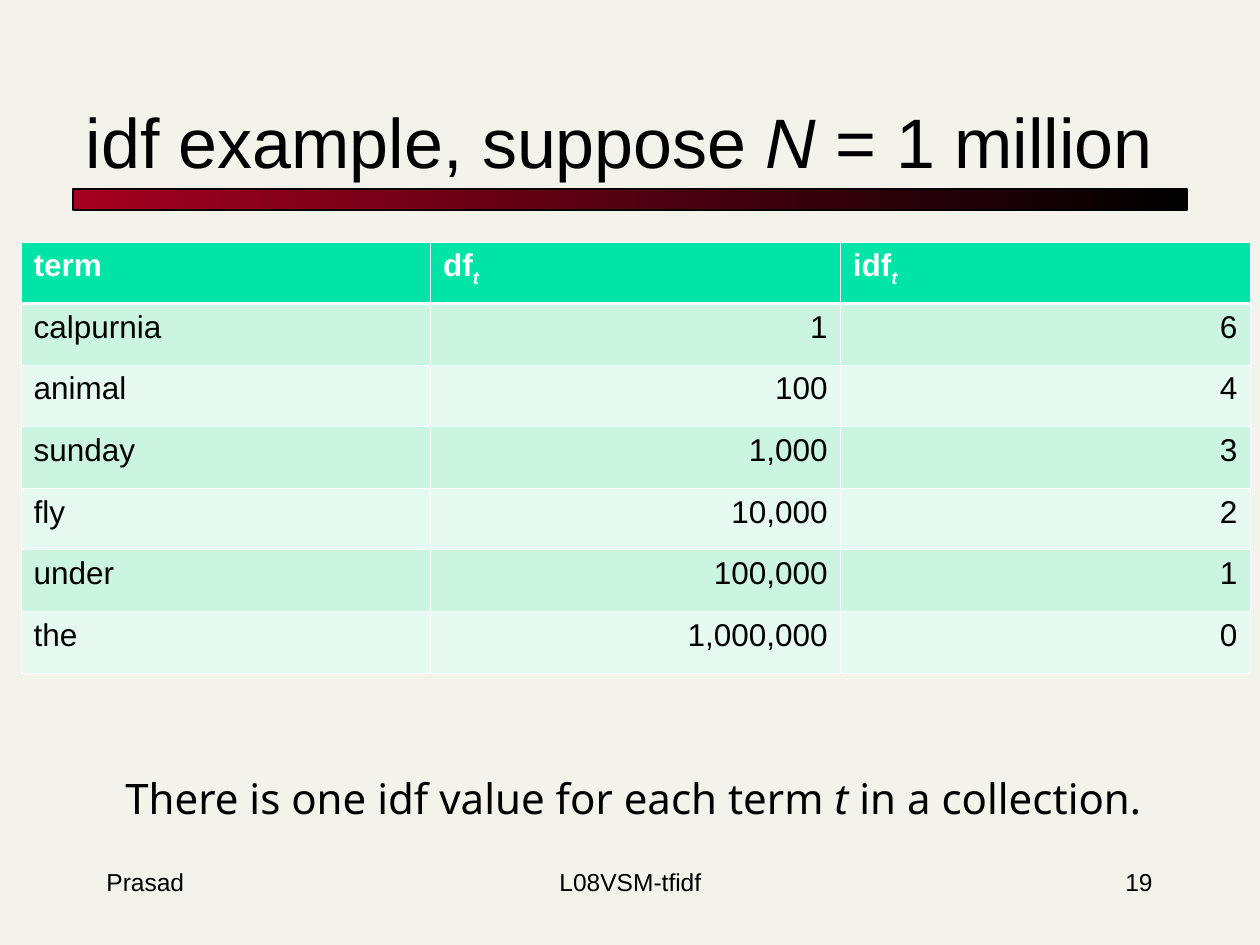
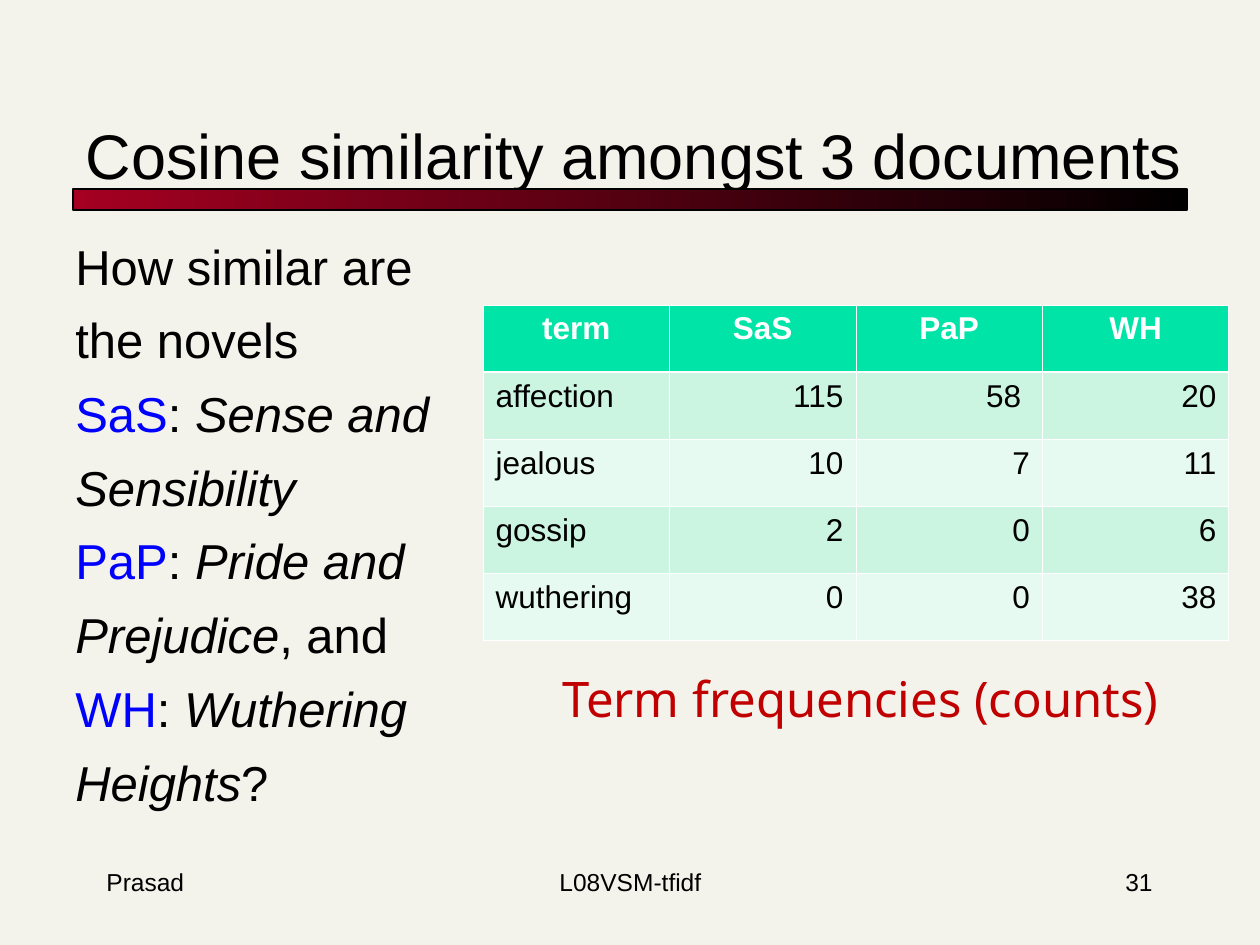
from lxml import etree
from pptx import Presentation
from pptx.dml.color import RGBColor
from pptx.enum.shapes import MSO_SHAPE
from pptx.enum.text import MSO_ANCHOR, MSO_AUTO_SIZE, PP_ALIGN
from pptx.oxml.ns import qn
from pptx.util import Emu, Inches, Pt

PX = Inches(1) // 126
LEFT, CENTER, RIGHT = PP_ALIGN.LEFT, PP_ALIGN.CENTER, PP_ALIGN.RIGHT
RECTANGLE = MSO_SHAPE.RECTANGLE
BOTTOM = MSO_ANCHOR.BOTTOM
NO_FIT = MSO_AUTO_SIZE.NONE
TITLE_ONLY = 5

PAPER = RGBColor(0xF4, 0xF3, 0xEB)
BLACK = RGBColor(0, 0, 0)
WHITE = RGBColor(0xFF, 0xFF, 0xFF)
CRIMSON = RGBColor(0xA5, 0, 0x21)
RED = RGBColor(0xC0, 0, 0)
BLUE = RGBColor(0, 0, 0xFF)
HEADER_GREEN = RGBColor(0, 0xE4, 0xA8)
ROW_GREENS = (RGBColor(0xCB, 0xF5, 0xE1), RGBColor(0xE7, 0xFA, 0xF1))

BODY_FONT = "Arial"
NOTE_FONT = "Noto Sans"
THIN, THICK = Pt(0.45), Pt(1.47)


def italic(text):
    return text, {"italic": True}


def subscript(text):
    return text, {"italic": True, "baseline": -25000}


def blue(text):
    return text, {"color": BLUE}


def px(*lengths):
    return [Emu(length * PX) for length in lengths]


class Lecture:
    """Holds the deck, its shared style and the page being built."""

    def __init__(self):
        self.deck = Presentation()
        self.deck.slide_width, self.deck.slide_height = px(1260, 945)
        fill = self.deck.slide_master.background.fill
        fill.solid()
        fill.fore_color.rgb = PAPER
        self.page = None

    def start_page(self, number):
        self.page = self.deck.slides.add_slide(self.deck.slide_layouts[TITLE_ONLY])
        self.band()
        self.text((94, 861, 262, 63), [["Prasad"]], 14)
        self.text((903, 861, 262, 63), [[str(number)]], 14, align=RIGHT)
        self.text((431, 861, 399, 63), [["L08VSM-tfidf"]], 14, align=CENTER)

    def band(self):
        band = self.page.shapes.add_shape(RECTANGLE, *px(73, 189, 1114, 21))
        band.shadow.inherit = False
        band.fill.gradient()
        band.fill.gradient_angle = 0
        for stop, color in zip(band.fill.gradient_stops, (CRIMSON, BLACK)):
            stop.color.rgb = color
        band.line.color.rgb = BLACK
        band.line.width = Pt(0.75)

    def set_spans(self, para, spans, size, color=BLACK, font=BODY_FONT, align=LEFT, bold=False):
        """Fill a paragraph with plain strings and (text, style) pairs."""
        para.alignment = align
        para.font.name = font
        para.font.size = Pt(size)
        para.font.bold = bold
        para.font.color.rgb = color
        for span in spans:
            text, style = (span, {}) if isinstance(span, str) else span
            run = para.add_run()
            run.text = text
            if "italic" in style:
                run.font.italic = True
            if "color" in style:
                run.font.color.rgb = style["color"]
            if "baseline" in style:
                run._r.get_or_add_rPr().set("baseline", str(style["baseline"]))

    def title(self, place, spans, size):
        title = self.page.shapes.title
        title.left, title.top, title.width, title.height = px(*place)
        frame = title.text_frame
        frame.auto_size = NO_FIT
        frame.vertical_anchor = BOTTOM
        self.set_spans(frame.paragraphs[0], spans, size)

    def text(self, place, lines, size, wrap=True, space_before=0, **style):
        frame = self.page.shapes.add_textbox(*px(*place)).text_frame
        frame.word_wrap = wrap
        for index, spans in enumerate(lines):
            para = frame.add_paragraph() if index else frame.paragraphs[0]
            if index and space_before:
                para.space_before = Pt(space_before)
            self.set_spans(para, spans, size, **style)

    def borders(self, cell, top, bottom):
        properties = cell._tc.get_or_add_tcPr()
        for side, width in (("L", THIN), ("R", THIN), ("T", top), ("B", bottom)):
            line = etree.SubElement(properties, qn(f"a:ln{side}"), w=str(int(width)))
            fill = etree.SubElement(line, qn("a:solidFill"))
            etree.SubElement(fill, qn("a:srgbClr"), val=str(WHITE))

    def table(self, place, header, rows, header_align=LEFT):
        """Draw a table whose header cells are span lists and whose rows are strings."""
        grid = self.page.shapes.add_table(len(rows) + 1, len(header), *px(*place)).table
        cells = [header] + [[[value] for value in row] for row in rows]
        for r, row in enumerate(cells):
            for c, spans in enumerate(row):
                cell = grid.cell(r, c)
                self.borders(cell, THICK if r == 1 else THIN, THICK if r == 0 else THIN)
                cell.fill.solid()
                para = cell.text_frame.paragraphs[0]
                if r == 0:
                    cell.fill.fore_color.rgb = HEADER_GREEN
                    self.set_spans(para, spans, 18, WHITE, align=header_align, bold=True)
                else:
                    cell.fill.fore_color.rgb = ROW_GREENS[(r - 1) % 2]
                    self.set_spans(para, spans, 18, align=RIGHT if c else LEFT)


def build_idf_example(lecture):
    lecture.start_page(19)
    lecture.title((73, 53, 1113, 136), ["idf example, suppose ", italic("N "), "= 1 million"], 40)
    lecture.table(
        (21, 242, 1229, 431),
        [["term"], ["df", subscript("t")], ["idf", subscript("t")]],
        [
            ("calpurnia", "1", "6"),
            ("animal", "100", "4"),
            ("sunday", "1,000", "3"),
            ("fly", "10,000", "2"),
            ("under", "100,000", "1"),
            ("the", "1,000,000", "0"),
        ],
    )
    note = ["There is one idf value for each term ", italic("t"), " in a collection."]
    lecture.text((113, 766, 1042, 63), [note], 24, wrap=False, font=NOTE_FONT)


def build_cosine_similarity(lecture):
    lecture.start_page(31)
    lecture.title((73, 38, 1187, 160), ["Cosine similarity amongst 3 documents"], 36)
    lecture.table(
        (483, 305, 746, 336),
        [["term"], ["SaS"], ["PaP"], ["WH"]],
        [
            ("affection", "115", "58 ", "20"),
            ("jealous", "10", "7", "11"),
            ("gossip", "2", "0", "6"),
            ("wuthering", "0", "0", "38"),
        ],
        header_align=CENTER,
    )
    novels = [
        ["How similar are"],
        ["the novels"],
        [blue("SaS"), ": ", italic("Sense and")],
        [italic("Sensibility")],
        [blue("PaP"), ": ", italic("Pride and")],
        [italic("Prejudice"), ", and"],
        [blue("WH"), ": ", italic("Wuthering")],
        [italic("Heights"), "?"],
    ]
    lecture.text((63, 230, 415, 642), novels, 28, space_before=8.5)
    lecture.text((550, 662, 625, 72), [["Term frequencies (counts)"]], 28,
                 wrap=False, color=RED, font=NOTE_FONT)


def main():
    lecture = Lecture()
    build_idf_example(lecture)
    build_cosine_similarity(lecture)
    lecture.deck.save("out.pptx")


if __name__ == "__main__":
    main()
